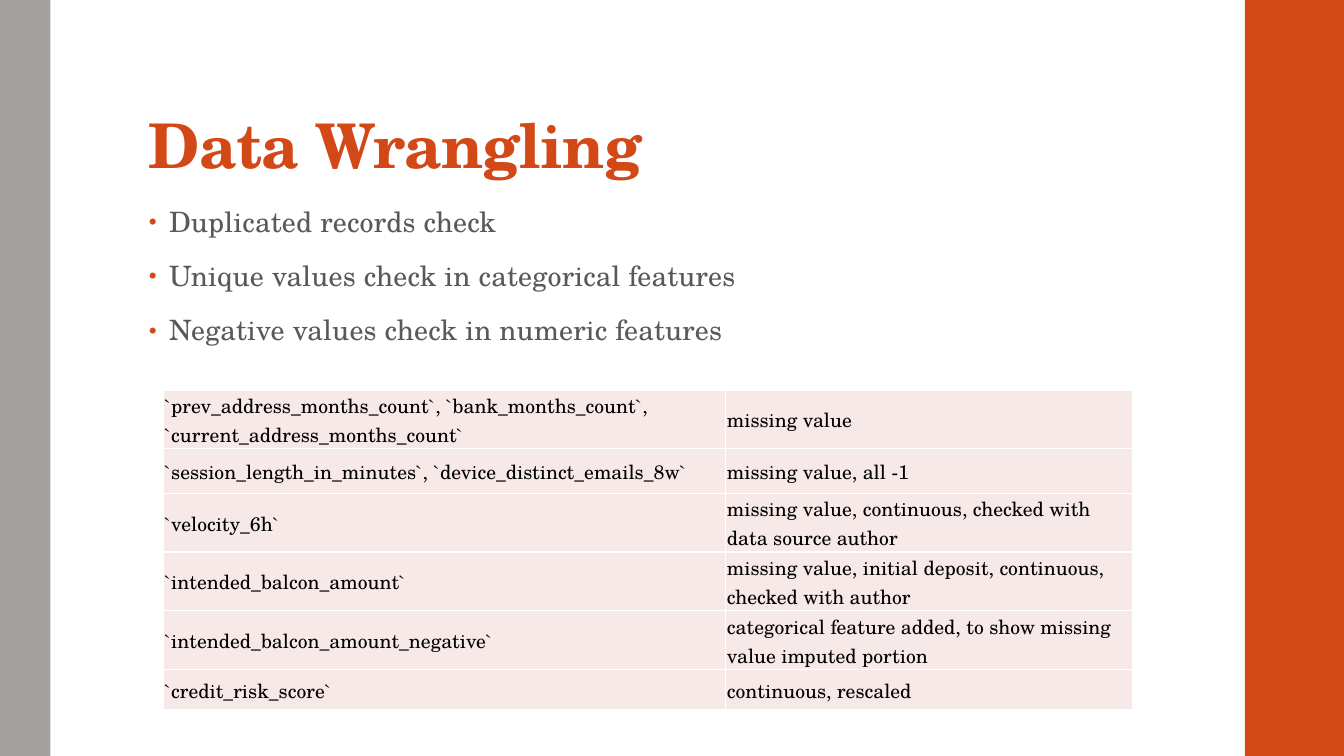
from lxml.etree import SubElement
from pptx import Presentation
from pptx.dml.color import RGBColor
from pptx.enum.shapes import MSO_SHAPE as SHAPE
from pptx.enum.text import MSO_ANCHOR as ANCHOR
from pptx.oxml.ns import qn
from pptx.util import Cm, Pt

BULLETS = [
    "Duplicated records check",
    "Unique values check in categorical features",
    "Negative values check in numeric features",
]
FEATURES = [
    ("`prev_address_months_count`, `bank_months_count`, `current_address_months_count`",
     "missing value", 1.48),
    ("`session_length_in_minutes`, `device_distinct_emails_8w`",
     "missing value, all -1", 1.12),
    ("`velocity_6h`",
     "missing value, continuous, checked with data source author", 1.48),
    ("`intended_balcon_amount`",
     "missing value, initial deposit, continuous, checked with author", 1.48),
    ("`intended_balcon_amount_negative`",
     "categorical feature added, to show missing value imputed portion", 1.48),
    ("`credit_risk_score`", "continuous, rescaled", 1.02),
]


def rgb(value):
    return RGBColor.from_string(value)


class Deck:
    """Draws styled elements on the current slide."""

    FONT = "TeX Gyre Schola"
    ACCENT, GREY, BODY = "D34817", "A6A1A1", "595959"
    CELL, BORDER, INK = "F7E9E8", "FFFFFF", "000000"

    def __init__(self, width, height):
        self.prs = Presentation()
        self.prs.slide_width, self.prs.slide_height = Cm(width), Cm(height)
        self.s = self.prs.slides.add_slide(self.prs.slide_layouts[6])

    def format(self, p, size, color, bold=False, spacing=0):
        for r in p.runs:
            r.font.name, r.font.size, r.font.bold = self.FONT, Pt(size), bold
            r.font.color.rgb = rgb(color)
            if spacing:
                r.font._element.set("spc", str(spacing))

    def bar(self, left, width, color):
        sp = self.s.shapes.add_shape(
            SHAPE.RECTANGLE, Cm(left), 0, Cm(width), self.prs.slide_height)
        sp.shadow.inherit = False
        sp.fill.solid()
        sp.fill.fore_color.rgb = rgb(color)
        sp.line.fill.background()

    def box(self, left, top, width, height):
        tf = self.s.shapes.add_textbox(
            Cm(left), Cm(top), Cm(width), Cm(height)).text_frame
        tf.word_wrap = True
        return tf

    def title(self, text, *place):
        tf = self.box(*place)
        tf.vertical_anchor = ANCHOR.BOTTOM
        tf.margin_top = Cm(0.08)
        tf.text = text
        p = tf.paragraphs[0]
        p.line_spacing = 0.9
        self.format(p, 44, self.ACCENT, bold=True, spacing=-50)

    def bullets(self, items, *place):
        tf = self.box(*place)
        tf.text = "\n".join(items)
        for i, p in enumerate(tf.paragraphs):
            pPr = p._p.get_or_add_pPr()
            pPr.set("marL", str(Cm(0.51)))
            pPr.set("indent", str(-Cm(0.51)))
            color = SubElement(pPr, qn("a:buClr"))
            SubElement(color, qn("a:srgbClr"), val=self.ACCENT)
            SubElement(pPr, qn("a:buSzPct"), val="80000")
            SubElement(pPr, qn("a:buFont"), typeface="Arial")
            SubElement(pPr, qn("a:buChar"), char="•")
            p.line_spacing = 0.95
            p.space_before = Pt(14 if i else 0)
            p.space_after = Pt(2)
            self.format(p, 20, self.BODY, spacing=10)

    def cell(self, cell, text):
        tcPr = cell._tc.get_or_add_tcPr()
        for side in "LRTB":
            ln = SubElement(tcPr, qn(f"a:ln{side}"), w=str(Pt(1)))
            fill = SubElement(ln, qn("a:solidFill"))
            SubElement(fill, qn("a:srgbClr"), val=self.BORDER)
        cell.fill.solid()
        cell.fill.fore_color.rgb = rgb(self.CELL)
        cell.vertical_anchor = ANCHOR.MIDDLE
        cell.margin_left = cell.margin_right = cell.margin_top = Cm(0.03)
        cell.margin_bottom = 0
        cell.text = text
        self.format(cell.text_frame.paragraphs[0], 14, self.INK)

    def table(self, rows, left, top, widths):
        height = sum(row[-1] for row in rows)
        table = self.s.shapes.add_table(
            len(rows), len(widths), Cm(left), Cm(top),
            Cm(sum(widths)), Cm(height)).table
        table.first_row = table.horz_banding = False
        for column, width in zip(table.columns, widths):
            column.width = Cm(width)
        for i, (*texts, row_height) in enumerate(rows):
            table.rows[i].height = Cm(row_height)
            for j, text in enumerate(texts):
                self.cell(table.cell(i, j), text)


def main():
    deck = Deck(33.87, 19.05)
    deck.bar(31.37, 2.5, deck.ACCENT)
    deck.bar(0, 1.27, deck.GREY)
    deck.title("Data Wrangling", 3.5, 0.81, 26.92, 3.89)
    deck.bullets(BULLETS, 3.5, 5.08, 28.27, 12.09)
    deck.table(FEATURES, 4.12, 9.83, (14.17, 10.24))
    deck.prs.save("out.pptx")


if __name__ == "__main__":
    main()
